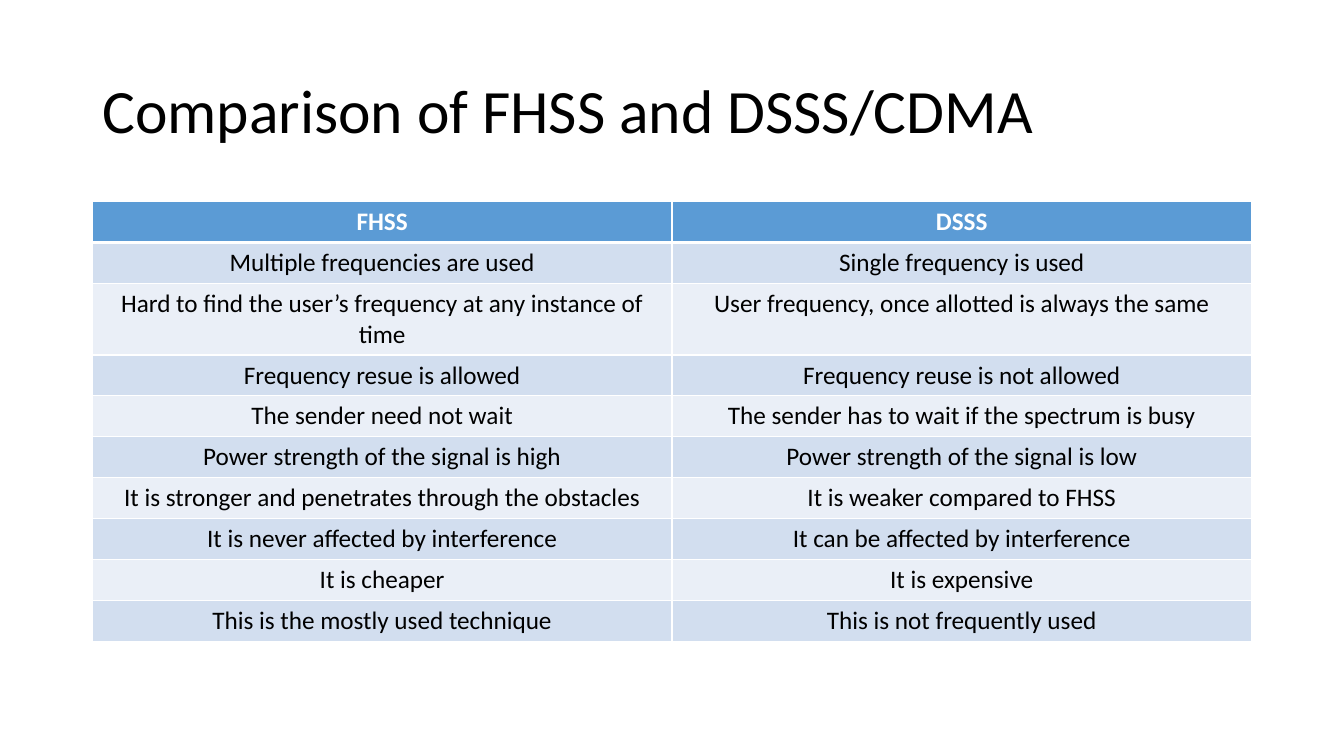
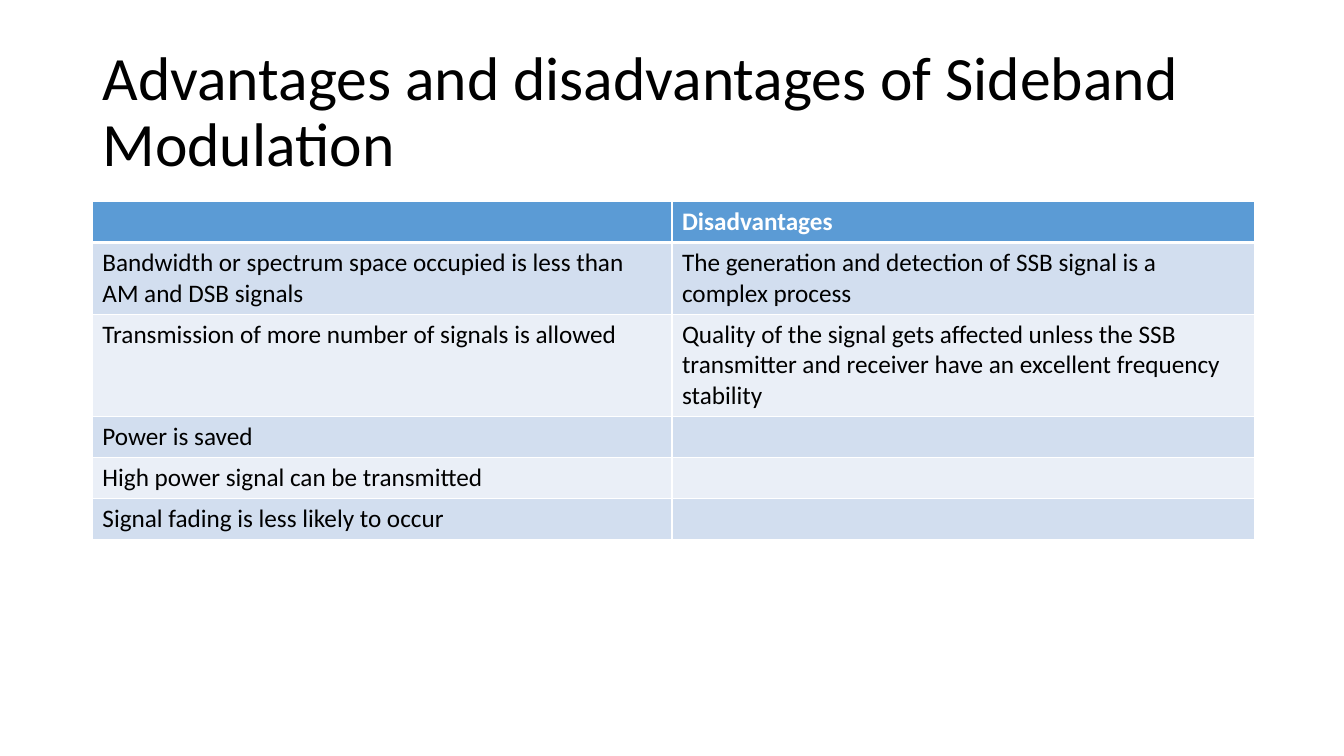
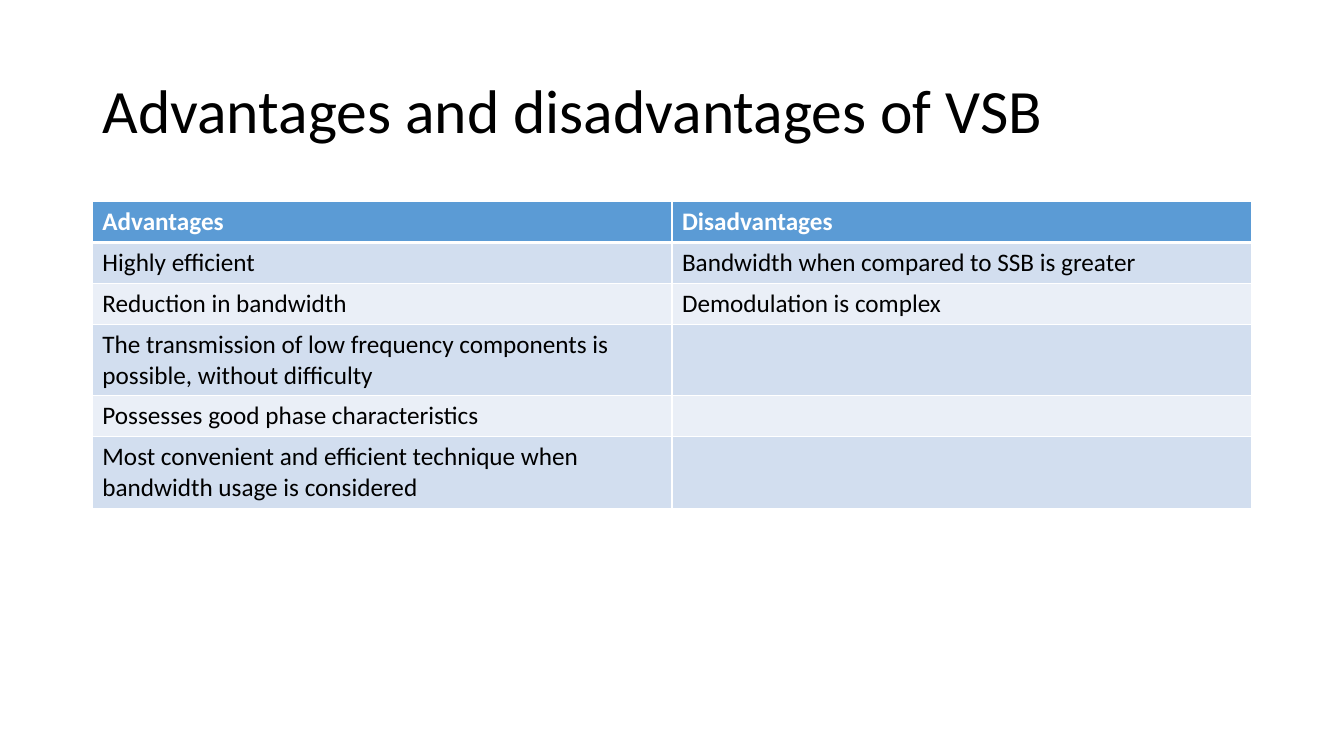
from dataclasses import dataclass

from lxml import etree
from pptx import Presentation
from pptx.dml.color import RGBColor
from pptx.enum.text import MSO_ANCHOR, MSO_AUTO_SIZE, PP_ALIGN
from pptx.oxml.ns import qn
from pptx.presentation import Presentation as Deck
from pptx.slide import Slide
from pptx.table import _Cell as Cell
from pptx.text.text import _Paragraph as Paragraph
from pptx.util import Inches, Length, Pt

LEFT, CENTER = PP_ALIGN.LEFT, PP_ALIGN.CENTER
MIDDLE = MSO_ANCHOR.MIDDLE
NO_AUTOFIT = MSO_AUTO_SIZE.NONE

# Shared look
COLORS = {
    "text": "000000",
    "header": "5B9BD5",
    "header text": "FFFFFF",
    "odd row": "D2DEEF",
    "even row": "EAEFF7",
    "border": "FFFFFF",
}
FONT = "Calibri"
TITLE_SIZE, TABLE_SIZE = 44, 18
THIN, THICK = 1, 3
TITLE_ONLY_LAYOUT = 5

# Grid of 160 columns by 90 rows, each unit a twelfth of an inch
GRID_COLUMNS, GRID_ROWS = 160, 90
MARGIN = 11
CONTENT_WIDTH = GRID_COLUMNS - 2 * MARGIN
HALF_WIDTH = CONTENT_WIDTH / 2
TITLE_TOP, TITLE_HEIGHT = 4.8, 17.4
TABLE_TOP, ROW_HEIGHT = 24, 4.87


@dataclass(frozen=True)
class TableSlide:
    title: str
    rows: list[tuple[str, str]]
    alignment: PP_ALIGN = LEFT
    column_widths: tuple[float, float] = (HALF_WIDTH, HALF_WIDTH)


SLIDES = [
    TableSlide(
        "Comparison of FHSS and DSSS/CDMA",
        [
            ("FHSS", "DSSS"),
            ("Multiple frequencies are used", "Single frequency is used"),
            ("Hard to find the user’s frequency at any instance of time",
             "User frequency, once allotted is always the same"),
            ("Frequency resue is allowed", "Frequency reuse is not allowed"),
            ("The sender need not wait",
             "The sender has to wait if the spectrum is busy"),
            ("Power strength of the signal is high",
             "Power strength of the signal is low"),
            ("It is stronger and penetrates through the obstacles",
             "It is weaker compared to FHSS"),
            ("It is never affected by interference",
             "It can be affected by interference"),
            ("It is cheaper", "It is expensive"),
            ("This is the mostly used technique", "This is not frequently used"),
        ],
        alignment=CENTER,
    ),
    TableSlide(
        "Advantages and disadvantages of Sideband Modulation",
        [
            ("", "Disadvantages"),
            ("Bandwidth or spectrum space occupied is less than AM and DSB signals",
             "The generation and detection of SSB signal is a complex process"),
            ("Transmission of more number of signals is allowed",
             "Quality of the signal gets affected unless the SSB transmitter "
             "and receiver have an excellent frequency stability"),
            ("Power is saved", ""),
            ("High power signal can be transmitted", ""),
            ("Signal fading is less likely to occur", ""),
        ],
        column_widths=(HALF_WIDTH, HALF_WIDTH + 0.35),
    ),
    TableSlide(
        "Advantages and disadvantages of VSB",
        [
            ("Advantages", "Disadvantages"),
            ("Highly efficient", "Bandwidth when compared to SSB is greater"),
            ("Reduction in bandwidth", "Demodulation is complex"),
            ("The transmission of low frequency components is possible, "
             "without difficulty", ""),
            ("Possesses good phase characteristics", ""),
            ("Most convenient and efficient technique when bandwidth usage "
             "is considered", ""),
        ],
    ),
]


def units(count: float) -> Length:
    return Inches(count / 12)


def style_paragraph(paragraph: Paragraph, size: int, color: str,
                    alignment: PP_ALIGN, bold: bool = False) -> None:
    paragraph.alignment = alignment
    font = paragraph.font
    font.name, font.size, font.bold = FONT, Pt(size), bold
    font.color.rgb = RGBColor.from_string(COLORS[color])


def add_borders(cell: Cell, top: int, bottom: int) -> None:
    properties = cell._tc.get_or_add_tcPr()
    widths = {"a:lnL": THIN, "a:lnR": THIN, "a:lnT": top, "a:lnB": bottom}
    for tag, width in widths.items():
        line = etree.SubElement(properties, qn(tag), w=str(Pt(width)))
        fill = etree.SubElement(line, qn("a:solidFill"))
        etree.SubElement(fill, qn("a:srgbClr"), val=COLORS["border"])


def set_title(slide: Slide, text: str) -> None:
    title = slide.shapes.title
    title.left, title.top = units(MARGIN), units(TITLE_TOP)
    title.width, title.height = units(CONTENT_WIDTH), units(TITLE_HEIGHT)
    frame = title.text_frame
    frame.text = text
    frame.word_wrap = True
    frame.auto_size = NO_AUTOFIT
    frame.vertical_anchor = MIDDLE
    paragraph = frame.paragraphs[0]
    paragraph.line_spacing = 0.9
    style_paragraph(paragraph, TITLE_SIZE, "text", LEFT)


def fill_cell(cell: Cell, text: str, row: int, alignment: PP_ALIGN) -> None:
    is_header = row == 0
    cell.text = text
    style_paragraph(cell.text_frame.paragraphs[0], TABLE_SIZE,
                    "header text" if is_header else "text", alignment, is_header)
    # The thick rule lies between the header and the first body row
    add_borders(cell, top=THICK if row == 1 else THIN,
                bottom=THICK if is_header else THIN)
    band = "header" if is_header else "odd row" if row % 2 else "even row"
    cell.fill.solid()
    cell.fill.fore_color.rgb = RGBColor.from_string(COLORS[band])


def add_comparison_table(slide: Slide, content: TableSlide) -> None:
    row_count, column_count = len(content.rows), len(content.column_widths)
    table = slide.shapes.add_table(
        row_count, column_count, units(MARGIN), units(TABLE_TOP),
        units(sum(content.column_widths)), units(row_count * ROW_HEIGHT)).table
    for column, width in zip(table.columns, content.column_widths):
        column.width = units(width)
    for row, texts in enumerate(content.rows):
        table.rows[row].height = units(ROW_HEIGHT)
        for column, text in enumerate(texts):
            fill_cell(table.cell(row, column), text, row, content.alignment)


def add_table_slide(presentation: Deck, content: TableSlide) -> None:
    slide = presentation.slides.add_slide(
        presentation.slide_layouts[TITLE_ONLY_LAYOUT])
    set_title(slide, content.title)
    add_comparison_table(slide, content)


def main() -> None:
    presentation = Presentation()
    presentation.slide_width = units(GRID_COLUMNS)
    presentation.slide_height = units(GRID_ROWS)
    for content in SLIDES:
        add_table_slide(presentation, content)
    presentation.save("out.pptx")


if __name__ == "__main__":
    main()
